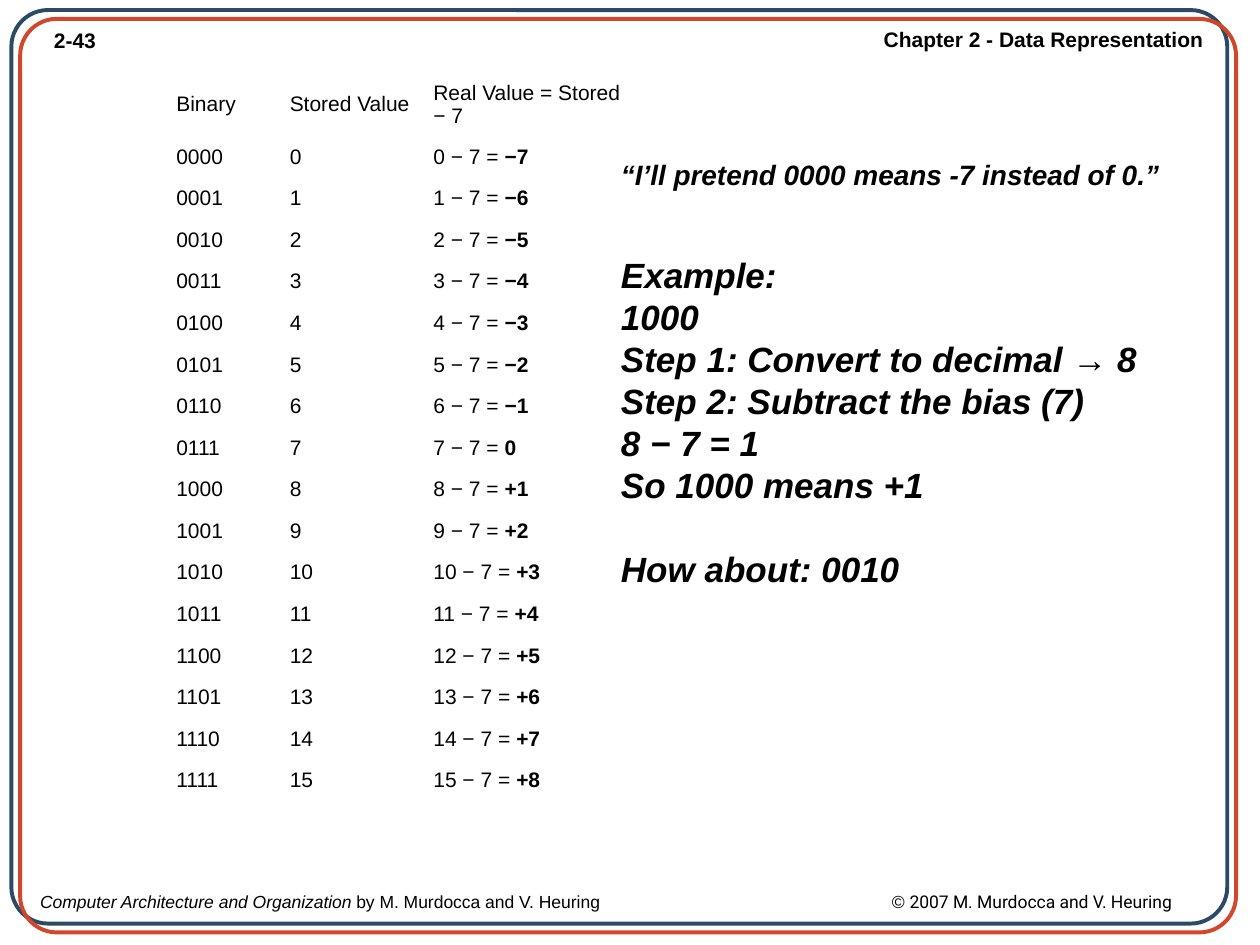
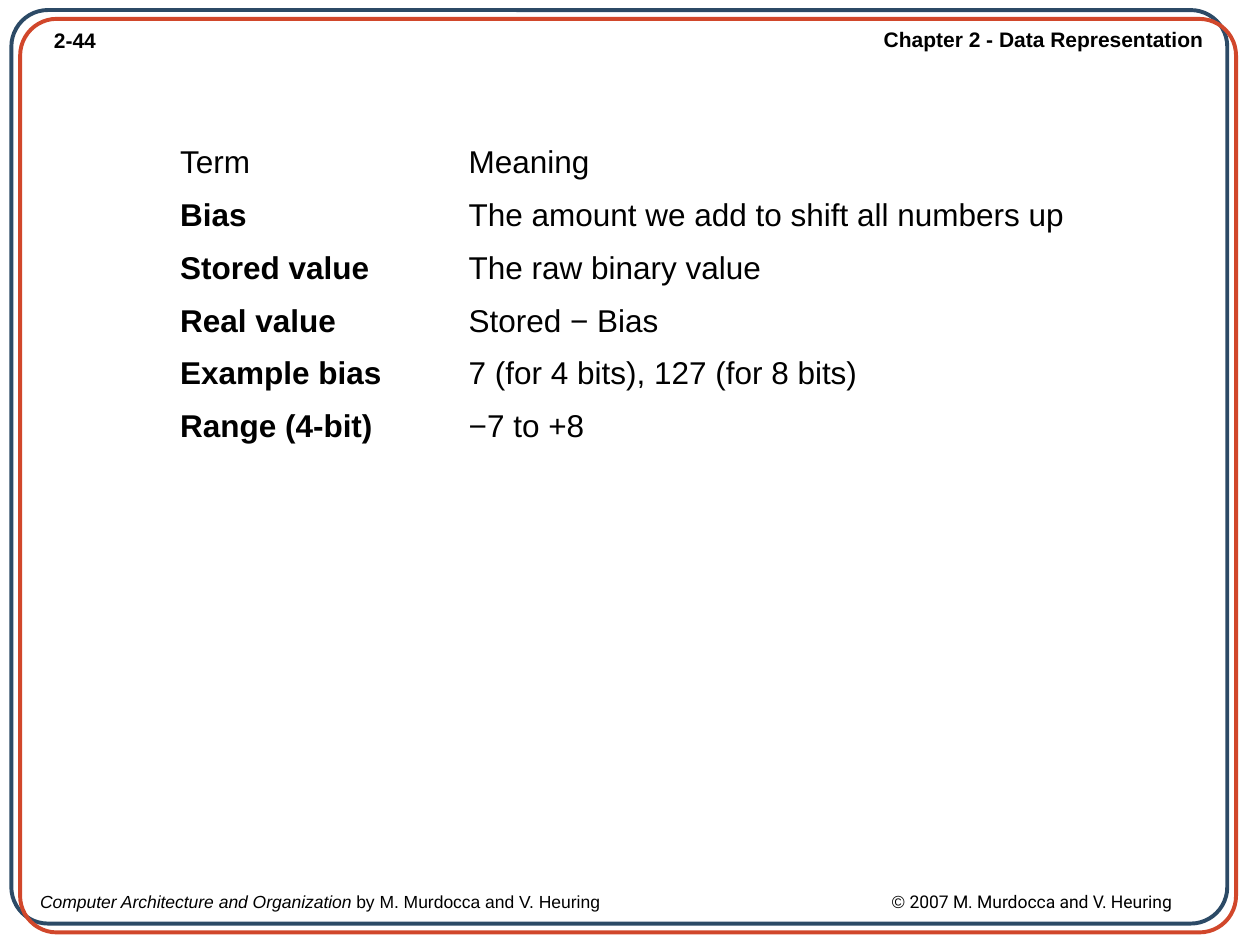
from lxml import etree
from pptx import Presentation
from pptx.dml.color import RGBColor
from pptx.enum.shapes import MSO_SHAPE
from pptx.enum.text import MSO_ANCHOR, PP_ALIGN
from pptx.oxml.ns import qn
from pptx.util import Inches, Pt

ROUND = MSO_SHAPE.ROUNDED_RECTANGLE
MIDDLE = MSO_ANCHOR.MIDDLE
LEFT, RIGHT = PP_ALIGN.LEFT, PP_ALIGN.RIGHT
COLORS = {"text": "000000", "navy": "2C4A66", "red": "D1472B"}
BIAS = 7


class Deck:
    font = "Arial"

    def __init__(self):
        self.prs = Presentation()
        self.prs.slide_width = Inches(10)
        self.prs.slide_height = Inches(7.5)
        self.slide = None

    def color(self, name):
        return RGBColor.from_string(COLORS[name])

    def style(self, run, size, bold=False, italic=False, font=None):
        run.font.name = font or self.font
        run.font.size = Pt(size)
        run.font.bold = bold
        run.font.italic = italic
        run.font.color.rgb = self.color("text")

    def text(self, box, lines, size, bold=False, italic=False,
             align=LEFT, wrap=True):
        shape = self.slide.shapes.add_textbox(*map(Inches, box))
        frame = shape.text_frame
        frame.word_wrap = wrap
        frame.text = lines
        for para in frame.paragraphs:
            para.alignment = align
            for run in para.runs:
                self.style(run, size, bold, italic)
        return frame

    def border(self, left, top, color):
        shape = self.slide.shapes.add_shape(
            ROUND, Inches(left), Inches(top), Inches(9.65), Inches(7.25))
        shape.adjustments[0] = 0.04
        shape.shadow.inherit = False
        shape.fill.background()
        shape.line.color.rgb = self.color(color)
        shape.line.width = Pt(2.25)

    def footer(self):
        frame = self.text((0.22, 7.02, 9.78, 0.26), "", 10)
        para = frame.paragraphs[0]
        tabs = etree.SubElement(para._p.get_or_add_pPr(), qn("a:tabLst"))
        etree.SubElement(tabs, qn("a:tab"), pos=str(Inches(6.76)), algn="l")
        parts = [
            ("Computer Architecture and Organization ", True, None),
            ("by M. Murdocca and V. Heuring\t© ", False, None),
            ("2007 M. Murdocca and V. Heuring", False, "Roboto"),
        ]
        for words, italic, font in parts:
            run = para.add_run()
            run.text = words
            self.style(run, 10, italic=italic, font=font)

    def page(self, number):
        self.slide = self.prs.slides.add_slide(self.prs.slide_layouts[6])
        self.text((0.33, 0.17, 0.56, 0.3), number, 12, bold=True)
        self.text((6.91, 0.16, 2.74, 0.3), "Chapter 2 - Data Representation",
                  12, bold=True, align=RIGHT, wrap=False)
        self.footer()
        self.border(0.09, 0.08, "navy")
        self.border(0.16, 0.15, "red")

    def table(self, left, top, widths, heights, rows, size, side):
        grid = self.slide.shapes.add_table(
            len(rows), len(widths), Inches(left), Inches(top),
            Inches(sum(widths)), Inches(sum(heights))).table
        grid.first_row = grid.horz_banding = False
        for col, width in zip(grid.columns, widths):
            col.width = Inches(width)
        for line, height, row in zip(grid.rows, heights, rows):
            line.height = Inches(height)
            for cell, parts in zip(line.cells, row):
                self.cell(cell, parts, size, side)

    def cell(self, cell, parts, size, side):
        cell.fill.background()
        cell.vertical_anchor = MIDDLE
        cell.margin_left = cell.margin_right = Inches(side)
        plain, strong = parts
        for words, bold in ((plain, False), (strong, True)):
            if words:
                run = cell.text_frame.paragraphs[0].add_run()
                run.text = words
                self.style(run, size, bold)


def codes(deck):
    deck.page("2-43")
    rows = [[("Binary", ""), ("Stored Value", ""),
             (f"Real Value = Stored − {BIAS}", "")]]
    for num in range(16):
        real = f"{num - BIAS:+d}" if num != BIAS else "0"
        rows.append([(f"{num:04b}", ""), (str(num), ""),
                     (f"{num} − {BIAS} = ", real.replace("-", "−"))])
    deck.table(1.33, 0.58, [0.9, 1.14, 1.71], [0.47] + [0.33] * 16,
               rows, 12, 0.07)
    deck.text((4.83, 1.2, 4.75, 0.37),
              "“I’ll pretend 0000 means -7 instead of 0.”",
              16, bold=True, italic=True)
    steps = [
        "Example:",
        "1000",
        "Step 1: Convert to decimal → 8\vStep 2: Subtract the bias (7)",
        "8 − 7 = 1",
        "So 1000 means +1",
        "How about: 0010",
    ]
    frame = deck.text((4.83, 1.96, 5, 2.77), "\n".join(steps),
                      20, bold=True, italic=True)
    for para in frame.paragraphs:
        para.line_spacing = Pt(24)
    frame.paragraphs[-1].space_before = Pt(24)


def terms(deck):
    deck.page("2-44")
    pairs = [
        ("Bias", "The amount we add to shift all numbers up"),
        ("Stored value", "The raw binary value"),
        ("Real value", "Stored − Bias"),
        ("Example bias", "7 (for 4 bits), 127 (for 8 bits)"),
        ("Range (4-bit)", "−7 to +8"),
    ]
    rows = [[("Term", ""), ("Meaning", "")]]
    rows += [[("", term), (sense, "")] for term, sense in pairs]
    deck.table(1.33, 1.08, [2.29, 5.61], [0.42] * len(rows), rows, 18, 0.1)


def main():
    deck = Deck()
    codes(deck)
    terms(deck)
    deck.prs.save("out.pptx")


if __name__ == "__main__":
    main()
